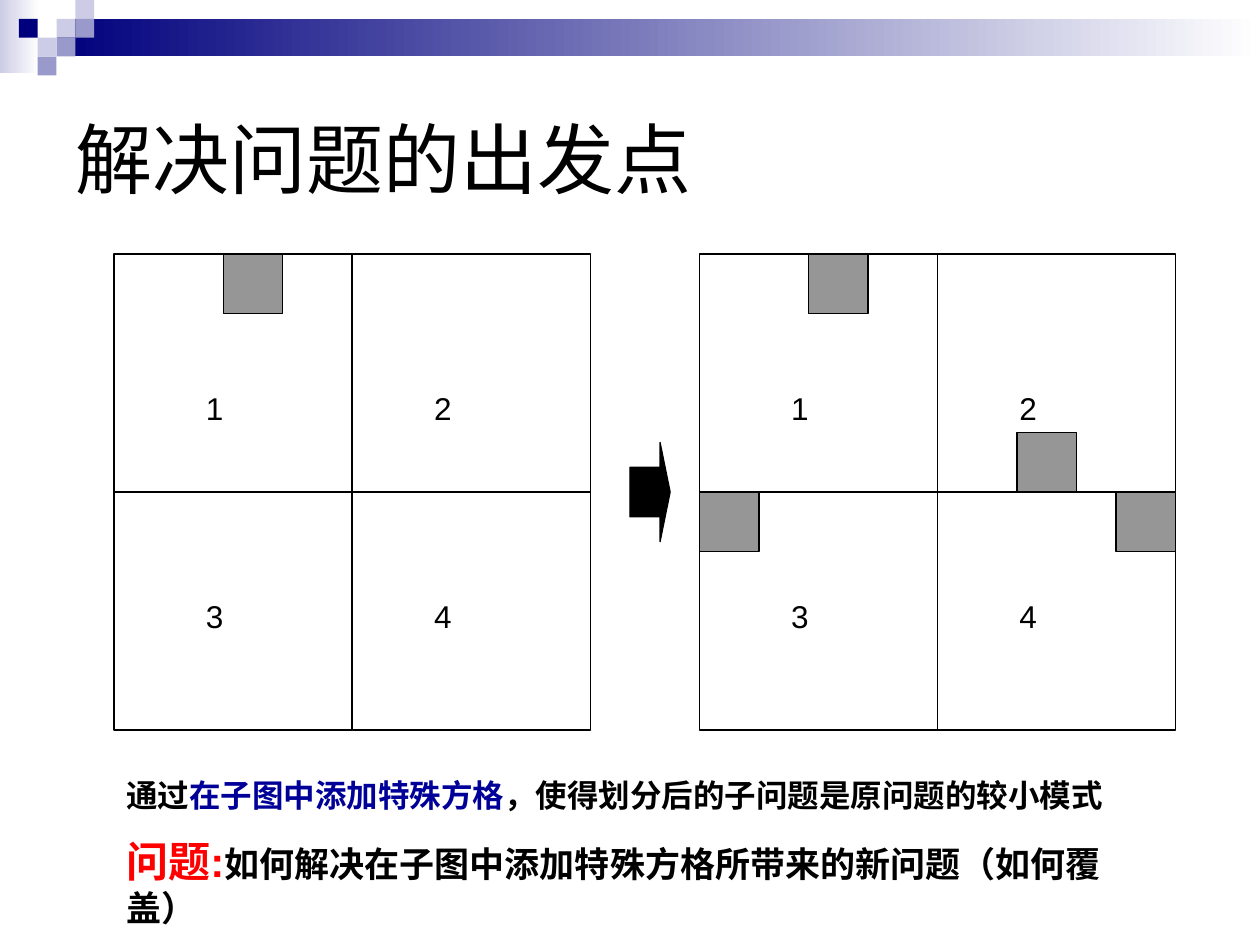
from pptx import Presentation
from pptx.dml.color import RGBColor
from pptx.enum.shapes import MSO_SHAPE as Shape
from pptx.enum.text import MSO_ANCHOR as Anchor
from pptx.util import Cm, Pt

BLACK, WHITE, GREY = "000000", "FFFFFF", "969696"
NAVY, LAVENDER, VIOLET = "00007D", "CCCCE6", "9999CC"
STEP = 0.38  # side of a small square in the header
QUADRANT = 4.8  # side of a quarter of a board
CELL = QUADRANT / 4
BOARD_TOP = 5.12


def color(code):
    return RGBColor.from_string(code)


def add_block(shapes, left, top, width, height, fill, line=None, kind=Shape.RECTANGLE):
    block = shapes.add_shape(kind, Cm(left), Cm(top), Cm(width), Cm(height))
    block.shadow.inherit = False
    if isinstance(fill, tuple):
        block.fill.gradient()
        block.fill.gradient_angle = 0
        for stop, code, position in zip(block.fill.gradient_stops, fill, (0, 1)):
            stop.color.rgb = color(code)
            stop.position = position
    else:
        block.fill.solid()
        block.fill.fore_color.rgb = color(fill)
    if line:
        block.line.color.rgb = color(line)
        block.line.width = Pt(0.75)
    else:
        block.line.fill.background()
    return block


def add_text(shapes, left, top, width, height, paragraphs, bold=False, anchor=Anchor.TOP):
    """Each paragraph is a list of (text, size, color) spans."""
    box = shapes.add_textbox(Cm(left), Cm(top), Cm(width), Cm(height))
    frame = box.text_frame
    frame.word_wrap = True
    frame.vertical_anchor = anchor
    for number, spans in enumerate(paragraphs):
        para = frame.add_paragraph() if number else frame.paragraphs[0]
        if number:
            para.space_before = Pt(12.5)
        for text, size, code in spans:
            span = para.add_run()
            span.text = text
            span.font.name = "Arial"
            span.font.size = Pt(size)
            span.font.bold = bold
            span.font.color.rgb = color(code)


def add_header(page):
    shapes = page.shapes.add_group_shape().shapes
    add_block(shapes, 0, 0, 0.79, 1.47, (LAVENDER, WHITE))
    add_block(shapes, 3 * STEP, STEP, 25.4 - 3 * STEP, 2 * STEP, (NAVY, WHITE))
    squares = [(3, 1, LAVENDER), (4, 0, LAVENDER), (4, 1, VIOLET), (2, 2, LAVENDER),
               (1, 1, NAVY), (3, 2, VIOLET), (2, 3, VIOLET)]
    for column, row, fill in squares:
        add_block(shapes, column * STEP, row * STEP, STEP, STEP, fill)


def add_board(page, left, special_cells):
    """Special cells are (x, y) offsets from the corner of the board."""
    shapes = page.shapes.add_group_shape().shapes
    places = [(column, row) for row in range(2) for column in range(2)]
    for column, row in places:
        add_block(shapes, left + column * QUADRANT, BOARD_TOP + row * QUADRANT,
                  QUADRANT, QUADRANT, WHITE, BLACK)
    for number, (column, row) in enumerate(places, 1):
        add_text(shapes, left + 1.6 + 4.6 * column, BOARD_TOP + 2.6 + 4.2 * row,
                 1.4, 1.02, [[(str(number), 18, BLACK)]])
    for x, y in special_cells:
        add_block(shapes, left + x, BOARD_TOP + y, CELL, CELL, GREY, BLACK)


def main():
    deck = Presentation()
    deck.slide_width, deck.slide_height = Cm(25.4), Cm(19.05)
    page = deck.slides.add_slide(deck.slide_layouts[6])

    # Header and title
    add_header(page)
    add_text(page.shapes, 1.27, 1.27, 22.86, 3.81,
             [[("解决问题的出发点", 44, BLACK)]], anchor=Anchor.MIDDLE)

    # Boards before and after adding special cells
    given = (2.2, 0)
    added = [(6.4, QUADRANT - CELL), (0, QUADRANT), (2 * QUADRANT - CELL, QUADRANT)]
    add_board(page, 2.3, [given])
    add_board(page, 14.1, [given] + added)

    # Arrow between the boards
    arrow = add_block(page.shapes, 12.7, 8.92, 0.81, 2, BLACK, BLACK, Shape.RIGHT_ARROW)
    arrow.adjustments[0] = 0.5
    arrow.adjustments[1] = 0.25

    # Conclusion and open question
    add_text(page.shapes, 2.3, 15.52, 21.2, 3.33, [
        [("通过", 18, BLACK), ("在子图中添加特殊方格", 18, "000099"),
         ("，使得划分后的子问题是原问题的较小模式", 18, BLACK)],
        [("问题:", 24, "FF0000"),
         ("如何解决在子图中添加特殊方格所带来的新问题（如何覆盖）", 20, BLACK)],
    ], bold=True)

    deck.save("out.pptx")


if __name__ == "__main__":
    main()
